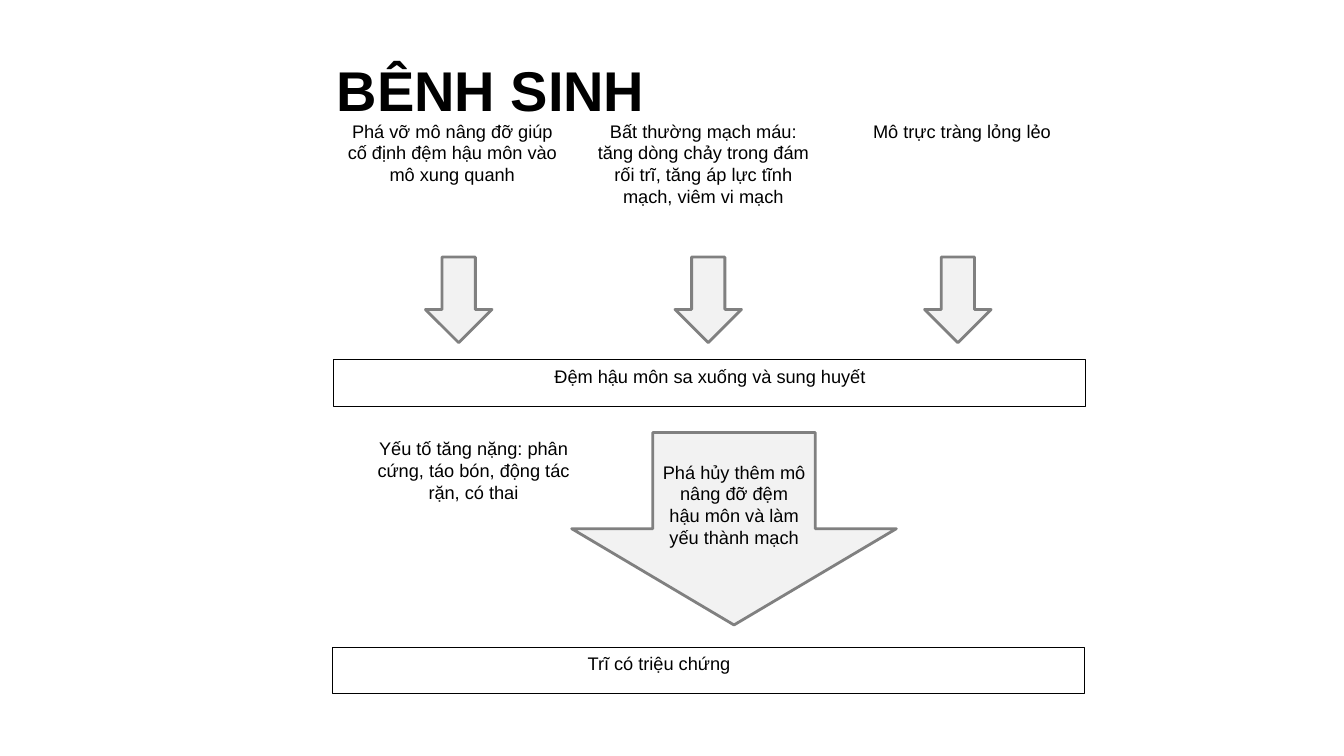
from typing import NamedTuple

from lxml.etree import SubElement
from pptx import Presentation
from pptx.dml.color import RGBColor
from pptx.enum.shapes import MSO_SHAPE
from pptx.enum.text import MSO_ANCHOR, PP_ALIGN
from pptx.oxml.ns import qn
from pptx.util import Inches, Pt

COLORS = {"text": "000000", "box": "FFFFFF", "border": "000000",
          "arrow": "F2F2F2", "arrow_line": "808080"}
FONT = "Arial"


class Box(NamedTuple):
    left: float
    top: float
    width: float
    height: float
    text: str
    border: bool = False
    tab: float = 0


class Arrow(NamedTuple):
    left: float
    top: float
    width: float
    height: float
    text: str = ""


CAUSE_TOP, CAUSE_HEIGHT = 1.14, 1.31
BAR_WIDTH, BAR_HEIGHT = 7.46, 0.46
ARROW_LEFT, ARROW_STEP = 4.22, 2.475

ITEMS = [
    Box(3.3, CAUSE_TOP, 2.37, CAUSE_HEIGHT,
        "Phá vỡ mô nâng đỡ giúp cố định đệm hậu môn vào mô xung quanh"),
    Box(5.81, CAUSE_TOP, 2.33, CAUSE_HEIGHT,
        "Bất thường mạch máu: tăng dòng chảy trong đám rối trĩ, "
        "tăng áp lực tĩnh mạch, viêm vi mạch"),
    Box(8.32, CAUSE_TOP, 2.44, CAUSE_HEIGHT, "Mô trực tràng lỏng lẻo"),
    *[Arrow(ARROW_LEFT + i * ARROW_STEP, 2.55, 0.66, 0.85) for i in range(3)],
    Box(3.31, 3.57, BAR_WIDTH, BAR_HEIGHT,
        "Đệm hậu môn sa xuống và sung huyết", border=True),
    Arrow(5.67, 4.29, 3.22, 1.91,
          "Phá hủy thêm mô nâng đỡ đệm hậu môn và làm yếu thành mạch"),
    Box(3.57, 4.29, 2.25, 0.85,
        "Yếu tố tăng nặng: phân cứng, táo bón, động tác rặn, có thai"),
    Box(3.3, 6.42, BAR_WIDTH, BAR_HEIGHT, "\tTrĩ có triệu chứng",
        border=True, tab=2.43),
]


def color(name: str) -> RGBColor:
    return RGBColor.from_string(COLORS[name])


def format_text(p, size: float, bold: bool = False) -> None:
    for r in p.runs:
        r.font.name = FONT
        r.font.size = Pt(size)
        r.font.bold = bold
        r.font.color.rgb = color("text")


def add_title(s, text: str) -> None:
    sp = s.shapes.title
    sp.left, sp.top = Inches(3.24), Inches(0.3)
    sp.width, sp.height = Inches(8.2), Inches(1.25)
    tf = sp.text_frame
    tf.text = text
    tf.vertical_anchor = MSO_ANCHOR.MIDDLE
    p = tf.paragraphs[0]
    p.alignment = PP_ALIGN.LEFT
    p.line_spacing = 0.9
    format_text(p, 40, bold=True)


def add_item(s, item: Box | Arrow, kind: MSO_SHAPE, fill: str):
    sp = s.shapes.add_shape(kind, Inches(item.left), Inches(item.top),
                            Inches(item.width), Inches(item.height))
    sp.shadow.inherit = False
    sp.fill.solid()
    sp.fill.fore_color.rgb = color(fill)
    if item.text:
        tf = sp.text_frame
        tf.text = item.text
        tf.word_wrap = True
        p = tf.paragraphs[0]
        p.alignment = PP_ALIGN.CENTER
        format_text(p, 13)
    return sp


def set_line(sp, name: str, width: float) -> None:
    sp.line.color.rgb = color(name)
    sp.line.width = Pt(width)


def add_box(s, box: Box) -> None:
    sp = add_item(s, box, MSO_SHAPE.RECTANGLE, "box")
    if box.border:
        set_line(sp, "border", 0.5)
    else:
        sp.line.fill.background()
    tf = sp.text_frame
    tf.vertical_anchor = MSO_ANCHOR.TOP
    if box.tab:
        p = tf.paragraphs[0]
        p.alignment = PP_ALIGN.LEFT
        tabs = SubElement(p._p.get_or_add_pPr(), qn("a:tabLst"))
        SubElement(tabs, qn("a:tab"), pos=str(Inches(box.tab)), algn="l")


def add_arrow(s, arrow: Arrow) -> None:
    sp = add_item(s, arrow, MSO_SHAPE.DOWN_ARROW, "arrow")
    set_line(sp, "arrow_line", 2)
    sp.text_frame.vertical_anchor = MSO_ANCHOR.MIDDLE


def main() -> None:
    prs = Presentation()
    prs.slide_width, prs.slide_height = Inches(13.33), Inches(7.5)
    s = prs.slides.add_slide(prs.slide_layouts[5])
    add_title(s, "BỆNH SINH")
    for item in ITEMS:
        if isinstance(item, Box):
            add_box(s, item)
        else:
            add_arrow(s, item)
    prs.save("out.pptx")


if __name__ == "__main__":
    main()
